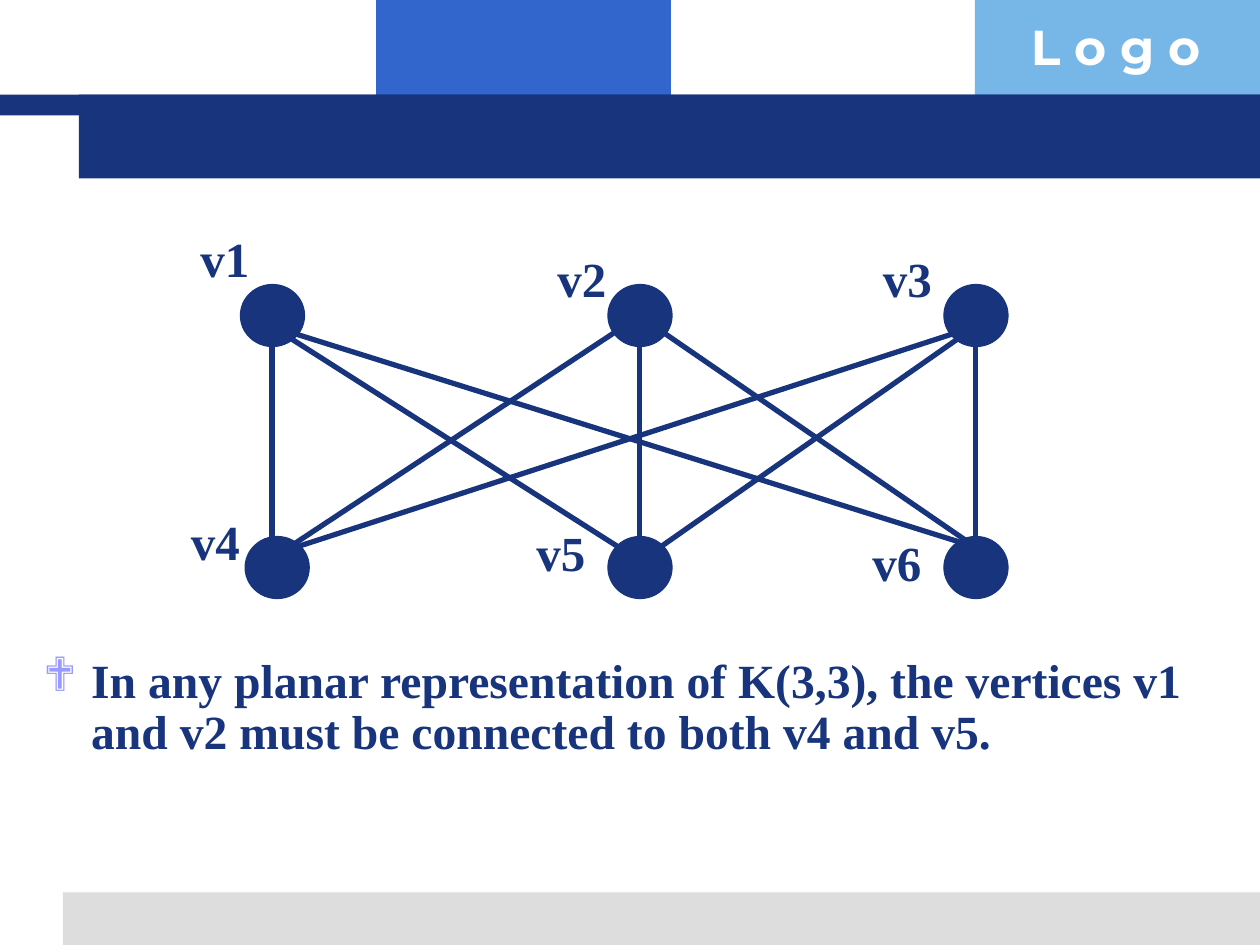
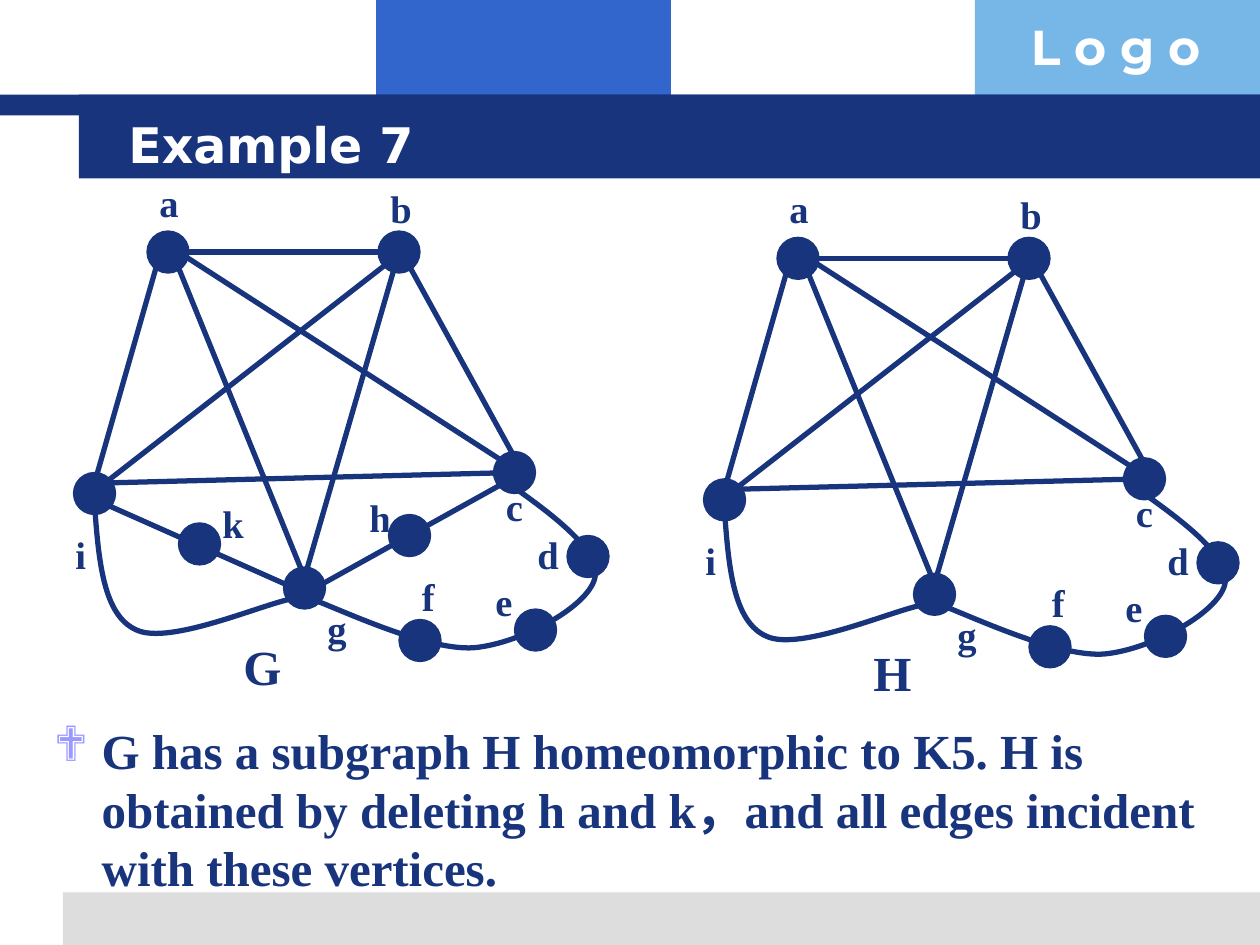
from lxml.etree import SubElement
from pptx import Presentation
from pptx.dml.color import RGBColor
from pptx.enum.shapes import MSO_CONNECTOR, MSO_SHAPE
from pptx.enum.text import MSO_ANCHOR
from pptx.oxml.ns import qn
from pptx.util import Inches, Pt

COLORS = {
    "navy": "17347D",
    "blue": "3366CC",
    "sky": "77B7E7",
    "grey": "DDDDDD",
    "lilac": "9999FF",
    "white": "FFFFFF",
}

# The slide is a grid of 120 columns by 90 rows
COLUMNS, ROWS = 120, 90
CELL = Inches(10) / COLUMNS

SERIF, SANS, LOGO = "Times New Roman", "DejaVu Sans", "Montserrat"
FORMATS = {
    "logo": {"name": LOGO, "size": Pt(28), "bold": True, "color": "white"},
    "title": {"name": SANS, "size": Pt(28), "bold": True, "color": "white"},
    "large": {"name": SERIF, "size": Pt(28), "bold": True, "color": "navy"},
    "small": {"name": SERIF, "size": Pt(22), "bold": True, "color": "navy"},
    "tight": {"name": SERIF, "size": Pt(27.2), "bold": True, "color": "navy"},
}

# Bands shared by the slides: column, row, width, height, colour
BANDS = [
    (35.82, 0, 28.08, 11, "blue"),
    (92.85, 0, 27.15, 11, "sky"),
    (6, 85, 114, 5, "grey"),
    (0, 9, 120, 2, "navy"),
    (7.5, 9, 112.5, 8, "navy"),
]

# Complete bipartite graph K(3,3): top-left cells of vertices and labels
K33_VERTICES = [(22.9, 27.1), (57.9, 27.1), (89.9, 27.1),
                (23.35, 51.1), (57.9, 51.1), (89.9, 51.1)]
K33_LABELS = {"v1": (17.9, 21.15), "v2": (51.9, 23.1), "v3": (82.9, 23.1),
              "v4": (17, 48.1), "v5": (49.9, 49.15), "v6": (81.9, 50.15)}
# Upper end of the edges, then the lower ends it reaches
K33_EDGES = {
    (25.9, 31.1): [(25.9, 53.2), (58.9, 52.1), (92.9, 52.1)],
    (60.9, 30.1): [(25.9, 53.2), (60.9, 52.1), (92.9, 52.1)],
    (92.9, 31.1): [(24.85, 53.2), (62.9, 52.1), (92.9, 52.1)],
}

# Graph H: vertex cell and label cell
H_VERTICES = {
    "a": ((14, 22), (14, 16.45)),
    "b": ((36, 22), (36, 17)),
    "c": ((47, 43), (47, 45.4)),
    "d": ((54, 51), (50, 50)),
    "e": ((49, 58), (46, 54.45)),
    "f": ((38, 59), (39, 54)),
    "g": ((27, 54), (30, 57)),
    "i": ((7, 45), (6, 50)),
}
H_EDGES = [
    ((9, 46), (15, 25)), ((29, 55), (16.8, 25)), ((37, 25), (10, 46)),
    ((49.8, 45), (38.8, 25)), ((29, 55), (38, 24)), ((49, 45), (10, 46)),
    ((48, 44), (17, 24)), ((37, 24), (17, 24)),
]
# Start point, then three points for each Bezier segment
H_CURVES = [
    [(46.9, 45), (52, 48.5), (57, 52.1), (56.7, 54.8),
     (56.4, 57.6), (49.7, 61.3), (45.1, 61.7),
     (40.4, 62), (31.7, 57.7), (29, 56.8)],
    [(9, 48), (9.4, 53.3), (9.8, 58.6), (13, 60),
     (16.2, 61.5), (25.3, 57.4), (28, 57)],
]
# What G has beyond H
G_VERTICES = {"h": ((37, 49), (34, 46.45)), "k": ((17, 49.8), (20, 47))}
G_EDGES = [((10, 48), (28, 56)), ((30, 56), (48, 46))]


def cells(*values):
    return [round(value * CELL) for value in values]


def rgb(color):
    return RGBColor.from_string(COLORS[color])


def apply_format(font, style):
    for key, value in FORMATS[style].items():
        if key == "color":
            font.color.rgb = rgb(value)
        else:
            setattr(font, key, value)


def add_bullet(paragraph):
    properties = paragraph._p.get_or_add_pPr()
    indent = Inches(0.38)
    properties.set("marL", str(indent))
    properties.set("indent", str(-indent))
    bullet_color = SubElement(properties, qn("a:buClr"))
    SubElement(bullet_color, qn("a:srgbClr"), val=COLORS["lilac"])
    SubElement(properties, qn("a:buFont"), typeface="Wingdings", charset="2")
    SubElement(properties, qn("a:buChar"), char="❖")


def add_text(slide, text, box, style, bulleted=False):
    frame = slide.shapes.add_textbox(*cells(*box)).text_frame
    frame.word_wrap = True
    paragraph = frame.paragraphs[0]
    paragraph.text = text
    if bulleted:
        add_bullet(paragraph)
    apply_format(paragraph.font, style)
    return frame


def add_filled(slide, preset, box, color):
    shape = slide.shapes.add_shape(preset, *cells(*box))
    shape.shadow.inherit = False
    shape.fill.solid()
    shape.fill.fore_color.rgb = rgb(color)
    shape.line.fill.background()
    return shape


def add_vertex(slide, column, row, width=4, height=4):
    vertex = add_filled(slide, MSO_SHAPE.OVAL, (column, row, width, height), "navy")
    vertex.line.color.rgb = rgb("navy")
    vertex.line.width = Pt(0.75)


def style_edge(line):
    line.color.rgb = rgb("navy")
    line.width = Pt(3)


def add_edge(slide, start, end):
    edge = slide.shapes.add_connector(MSO_CONNECTOR.STRAIGHT, *cells(*start, *end))
    style_edge(edge.line)
    SubElement(edge._element.spPr, qn("a:effectLst"))


def add_curve(slide, points):
    builder = slide.shapes.build_freeform(*cells(*points[0]))
    builder.add_line_segments([cells(*point) for point in points[1:]], close=False)
    curve = builder.convert_to_shape()
    # Turn each three straight steps into one Bezier segment
    outline = next(curve._element.iter(qn("a:path")))
    steps = outline.findall(qn("a:lnTo"))
    for first in range(0, len(steps), 3):
        segment = SubElement(outline, qn("a:cubicBezTo"))
        for step in steps[first:first + 3]:
            segment.append(step[0])
            outline.remove(step)
    curve.shadow.inherit = False
    curve.fill.background()
    style_edge(curve.line)


def add_graph(slide, name, vertices, edges, dx=0, dy=0):
    def shift(point):
        return point[0] + dx, point[1] + dy

    for start, end in edges:
        add_edge(slide, shift(start), shift(end))
    for points in H_CURVES:
        add_curve(slide, [shift(point) for point in points])
    for label, (vertex, label_cell) in vertices.items():
        add_vertex(slide, *shift(vertex))
        add_text(slide, label, (*shift(label_cell), 5, 5.6), "small")
    add_text(slide, name, (*shift((22, 60)), 7, 6.8), "large")


def add_slide(presentation, title=None):
    slide = presentation.slides.add_slide(presentation.slide_layouts[6])
    for *box, color in BANDS:
        add_filled(slide, MSO_SHAPE.RECTANGLE, box, color)
    add_text(slide, "L o g o", (97, 1, 23, 6.8), "logo")
    if title:
        frame = add_text(slide, title, (11.05, 10, 102.4, 7.4), "title")
        frame.vertical_anchor = MSO_ANCHOR.MIDDLE
    return slide


def build_k33(presentation):
    slide = add_slide(presentation)
    for upper, lower_ends in K33_EDGES.items():
        for lower in lower_ends:
            add_edge(slide, upper, lower)
    for vertex in K33_VERTICES:
        add_vertex(slide, *vertex, 6.1, 5.9)
    for label, label_cell in K33_LABELS.items():
        add_text(slide, label, (*label_cell, 9, 6.8), "large")
    statement = add_text(slide, "In any planar representation of K(3,3), the vertices "
                         "v1 and v2 must be connected to both v4 and v5.",
                         (2.95, 62, 114, 18), "tight", bulleted=True)
    statement.paragraphs[0].line_spacing = 0.9


def build_example(presentation):
    slide = add_slide(presentation, "Example 7")
    add_graph(slide, "G", H_VERTICES | G_VERTICES, H_EDGES + G_EDGES)
    add_graph(slide, "H", H_VERTICES, H_EDGES, dx=COLUMNS / 2, dy=0.6)
    add_text(slide, "G has a subgraph H homeomorphic to K5. H is obtained by "
             "deleting h and k，and all edges incident with these vertices.",
             (3.95, 68, 113, 20), "large", bulleted=True)


def main():
    presentation = Presentation()
    presentation.slide_width, presentation.slide_height = cells(COLUMNS, ROWS)
    build_k33(presentation)
    build_example(presentation)
    presentation.save("out.pptx")


if __name__ == "__main__":
    main()
